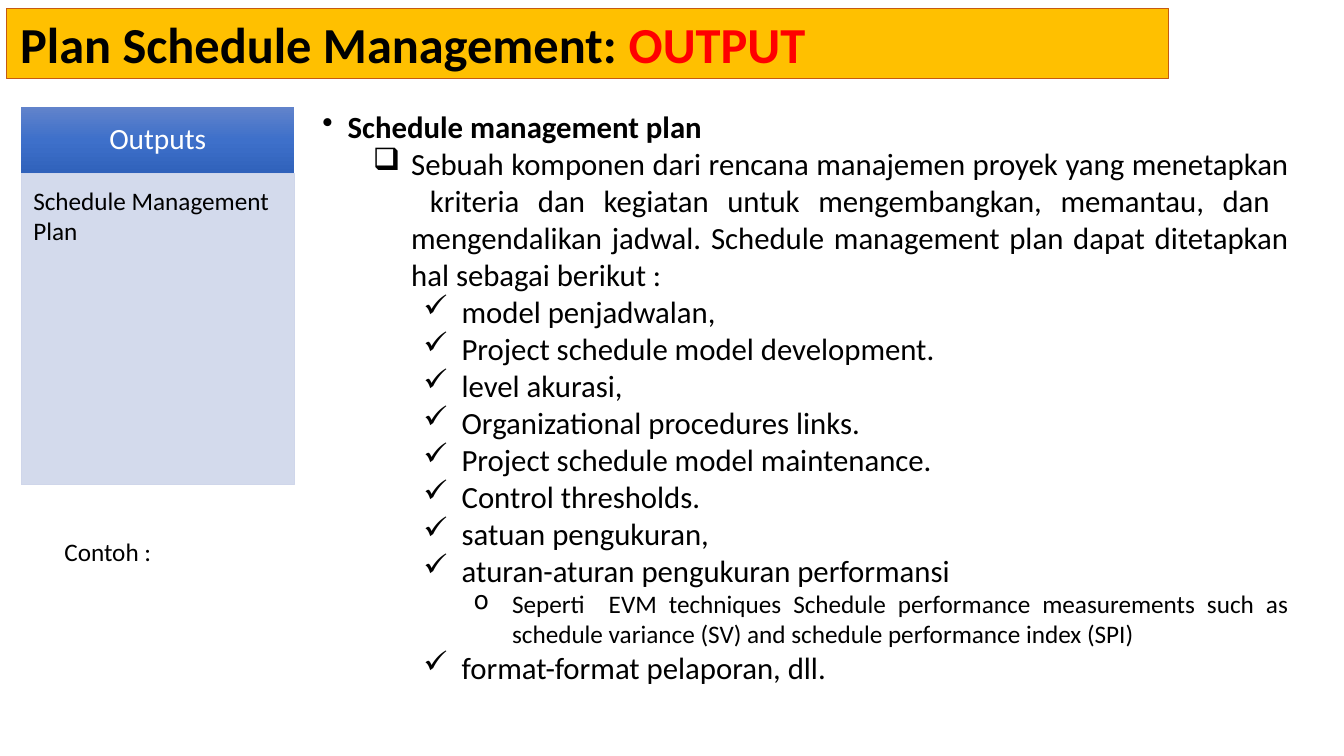
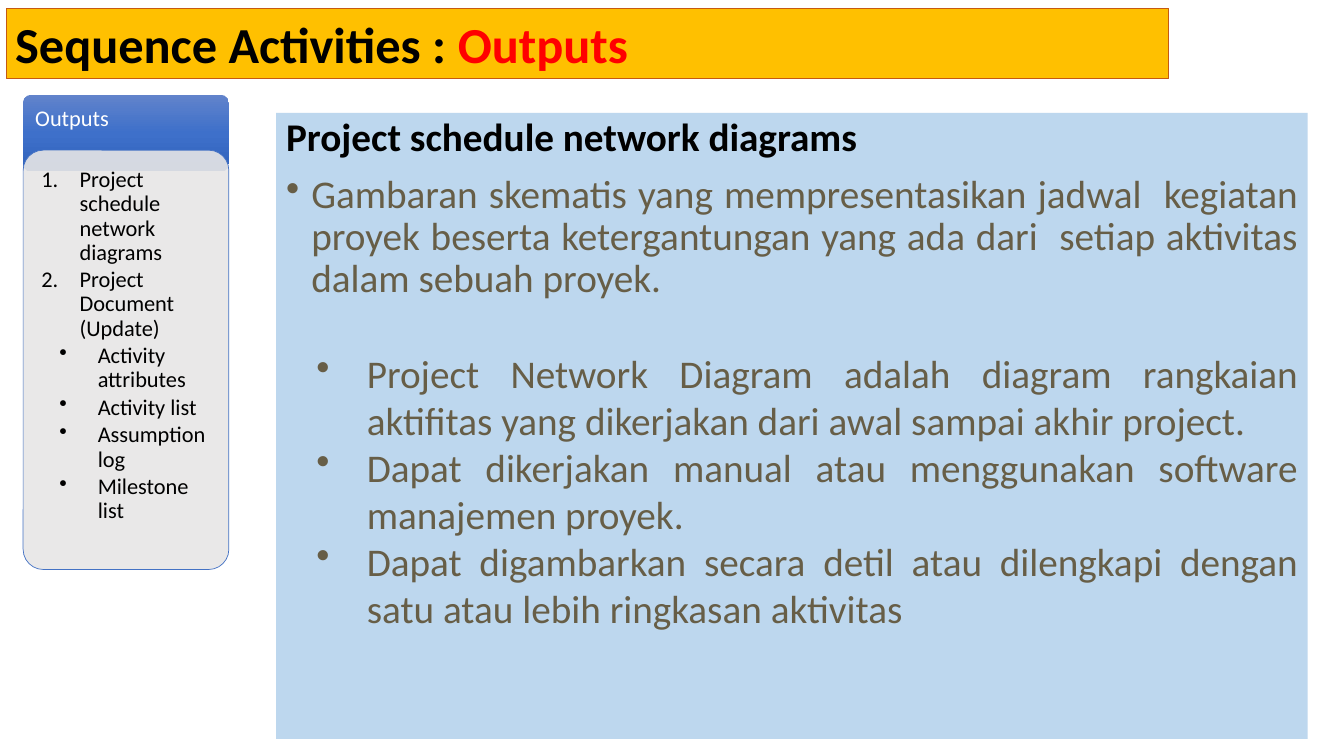
from dataclasses import dataclass
from typing import Optional, Sequence

from lxml.etree import SubElement
from pptx import Presentation
from pptx.dml.color import RGBColor
from pptx.enum.shapes import MSO_SHAPE
from pptx.enum.text import MSO_ANCHOR, MSO_AUTO_SIZE, PP_ALIGN
from pptx.oxml.ns import qn
from pptx.util import Inches, Pt

FONT = "Calibri"
COLORS = {
    "band": "FFC000", "band_line": "C55A11", "accent": "FF0000",
    "black": "000000", "white": "FFFFFF", "brown": "675E47",
    "pale_blue": "BDD7EE", "lavender": "CFD6EA", "grey": "E7E6E6", "blue": "4472C4",
}
HEADER_GRADIENT = ((0, "6183CB"), (50, "3E70CA"), (100, "3062BB"))
TITLE_BOX = (0.06, 0.08, 11.53, 0.7)
NUMBERED = "1."
DEFAULT_INSETS = (0.1, 0.05, 0.1, 0.05)


@dataclass(frozen=True)
class Style:
    size: float
    color: str = "black"
    bold: bool = False
    align: PP_ALIGN = PP_ALIGN.LEFT
    bullet: str = ""
    indent: float = 0
    hanging: float = 0
    line_spacing: float = 1
    before: float = 0
    after: float = 0


@dataclass(frozen=True)
class Item:
    text: str
    style: Style


@dataclass(frozen=True)
class Panel:
    box: tuple[float, float, float, float]
    items: Sequence[Item]
    insets: tuple[float, float, float, float] = DEFAULT_INSETS
    anchor: MSO_ANCHOR = MSO_ANCHOR.TOP
    fill: Optional[str] = None
    opacity: int = 100
    gradient: bool = False
    line: Optional[str] = None
    corner: float = 0


JUSTIFY = PP_ALIGN.JUSTIFY
TOPIC = Style(22, bold=True, align=JUSTIFY, bullet="•", indent=0.25, hanging=0.25,
              line_spacing=0.9)
DEFINITION = Style(22, align=JUSTIFY, bullet="❑", indent=0.88, hanging=0.38)
CHECK = Style(22, align=JUSTIFY, bullet="✓", indent=1.38, hanging=0.38)
EXAMPLE = Style(18, align=JUSTIFY, bullet="o", indent=1.88, hanging=0.38)
PLAIN = Style(18)
HEADING = Style(28, bold=True, line_spacing=0.9)
SUMMARY = Style(28, "brown", align=JUSTIFY, bullet="•", indent=0.25, hanging=0.25,
                line_spacing=0.9, before=10)
POINT = Style(28, "brown", align=JUSTIFY, bullet="•", indent=0.8, hanging=0.5)
FIRST_POINT = Style(28, "brown", align=JUSTIFY, bullet="•", indent=0.8, hanging=0.5,
                    before=34)
NUMBER = Style(16, bullet=NUMBERED, indent=0.38, hanging=0.38, line_spacing=0.9, after=2.4)
UPDATE = Style(16, bullet="•", indent=0.56, hanging=0.38, line_spacing=0.9, after=2.4)

SCHEDULE_PANELS = (
    Panel((0.21, 1.06, 2.71, 0.66),
          (Item("Outputs", Style(21, "white", align=PP_ALIGN.CENTER, line_spacing=0.9)),),
          insets=(0.16, 0.09, 0.16, 0.09), anchor=MSO_ANCHOR.MIDDLE, gradient=True),
    Panel((0.21, 1.72, 2.71, 3.09), (Item("Schedule Management Plan", PLAIN),),
          insets=(0.12, 0.12, 0.16, 0.18), fill="lavender", opacity=90, line="lavender"),
    Panel((3.1, 1.06, 9.78, 6.21), (
        Item("Schedule management plan", TOPIC),
        Item("Sebuah komponen dari rencana manajemen proyek yang menetapkan  kriteria dan "
             "kegiatan untuk mengembangkan, memantau, dan  mengendalikan jadwal. Schedule "
             "management plan dapat ditetapkan hal sebagai berikut :", DEFINITION),
        Item("model penjadwalan,", CHECK),
        Item("Project schedule model development.", CHECK),
        Item("level akurasi,", CHECK),
        Item("Organizational procedures links.", CHECK),
        Item("Project schedule model maintenance.", CHECK),
        Item("Control thresholds.", CHECK),
        Item("satuan pengukuran,", CHECK),
        Item("aturan-aturan pengukuran performansi", CHECK),
        Item("Seperti  EVM techniques Schedule performance measurements such as schedule "
             "variance (SV) and schedule performance index (SPI)", EXAMPLE),
        Item("format-format pelaporan, dll.", CHECK),
    )),
    Panel((0.54, 5.27, 1.77, 0.4), (Item("Contoh :", PLAIN),)),
)
SEQUENCE_PANELS = (
    Panel((2.74, 1.12, 10.23, 6.21), (
        Item("Project schedule network diagrams", HEADING),
        Item("Gambaran skematis yang mempresentasikan jadwal  kegiatan proyek beserta "
             "ketergantungan yang ada dari  setiap aktivitas dalam sebuah proyek.", SUMMARY),
        Item("Project Network Diagram adalah diagram rangkaian aktifitas yang dikerjakan "
             "dari awal sampai akhir project.", FIRST_POINT),
        Item("Dapat dikerjakan manual atau menggunakan software manajemen proyek.", POINT),
        Item("Dapat digambarkan secara detil atau dilengkapi dengan satu atau lebih "
             "ringkasan aktivitas", POINT),
    ), fill="pale_blue"),
    Panel((0.23, 0.94, 2.04, 0.76), (Item("Outputs", Style(16, "white", line_spacing=0.9)),),
          insets=(0.12, 0.12, 0.12, 0.32), gradient=True, corner=0.08),
    Panel((0.23, 1.49, 2.04, 4.16), (
        Item("Project schedule network diagrams", NUMBER),
        Item("Project Document (Update)", NUMBER),
        Item("Activity attributes", UPDATE),
        Item("Activity list", UPDATE),
        Item("Assumption log", UPDATE),
        Item("Milestone list", UPDATE),
    ), insets=(0.18,) * 4, fill="grey", opacity=90, line="blue", corner=0.2),
)


def rgb(name: str) -> RGBColor:
    return RGBColor.from_string(COLORS[name])


def add_text(paragraph, text: str, *, size: float, color: str = "black",
             bold: bool = False) -> None:
    run = paragraph.add_run()
    run.text = text
    run.font.name = FONT
    run.font.size = Pt(size)
    run.font.bold = bold
    run.font.color.rgb = rgb(color)


def set_bullet(paragraph, style: Style) -> None:
    properties = paragraph._p.get_or_add_pPr()
    properties.set("marL", str(Inches(style.indent)))
    properties.set("indent", str(-Inches(style.hanging)))
    if style.bullet == NUMBERED:
        SubElement(properties, qn("a:buAutoNum"), type="arabicPeriod")
    elif style.bullet:
        SubElement(properties, qn("a:buChar"), char=style.bullet)
    else:
        SubElement(properties, qn("a:buNone"))


def set_insets(frame, insets: Sequence[float]) -> None:
    frame.margin_left, frame.margin_top, frame.margin_right, frame.margin_bottom = (
        Inches(inset) for inset in insets)


def write_items(frame, items: Sequence[Item]) -> None:
    for index, item in enumerate(items):
        paragraph = frame.add_paragraph() if index else frame.paragraphs[0]
        style = item.style
        set_bullet(paragraph, style)
        paragraph.alignment = style.align
        paragraph.line_spacing = style.line_spacing
        paragraph.space_before = Pt(style.before)
        paragraph.space_after = Pt(style.after)
        add_text(paragraph, item.text, size=style.size, color=style.color, bold=style.bold)


def fill_gradient(shape) -> None:
    """Fill from top to bottom with the header's three stops."""
    shape.fill.gradient()
    shape.fill.gradient_angle = 270
    stops = shape._element.spPr.find(qn("a:gradFill")).find(qn("a:gsLst"))
    for stop in list(stops):
        stops.remove(stop)
    for percent, color in HEADER_GRADIENT:
        stop = SubElement(stops, qn("a:gs"), pos=str(percent * 1000))
        SubElement(stop, qn("a:srgbClr"), val=color)


def paint(shape, panel: Panel) -> None:
    shape.shadow.inherit = False
    if panel.gradient:
        fill_gradient(shape)
    else:
        shape.fill.solid()
        shape.fill.fore_color.rgb = rgb(panel.fill)
        if panel.opacity < 100:
            color = shape._element.spPr.find(qn("a:solidFill")).find(qn("a:srgbClr"))
            SubElement(color, qn("a:alpha"), val=str(panel.opacity * 1000))
    if panel.line:
        shape.line.color.rgb = rgb(panel.line)
        shape.line.width = Pt(0.5)
    else:
        shape.line.fill.background()


def draw_panel(slide, panel: Panel) -> None:
    box = [Inches(length) for length in panel.box]
    if panel.fill or panel.gradient:
        preset = MSO_SHAPE.ROUNDED_RECTANGLE if panel.corner else MSO_SHAPE.RECTANGLE
        shape = slide.shapes.add_shape(preset, *box)
        if panel.corner:
            shape.adjustments[0] = panel.corner / min(panel.box[2:])
        paint(shape, panel)
    else:
        shape = slide.shapes.add_textbox(*box)
    frame = shape.text_frame
    frame.word_wrap = True
    frame.vertical_anchor = panel.anchor
    # A rounded rectangle already insets its text by 0.29 of the corner radius.
    set_insets(frame, [inset - 0.29 * panel.corner for inset in panel.insets])
    write_items(frame, panel.items)


def draw_title(slide, topic: str, stage: str, left_inset: float) -> None:
    title = slide.shapes.title
    title.left, title.top, title.width, title.height = (
        Inches(length) for length in TITLE_BOX)
    title.fill.solid()
    title.fill.fore_color.rgb = rgb("band")
    title.line.color.rgb = rgb("band_line")
    title.line.width = Pt(0.75)
    frame = title.text_frame
    frame.auto_size = MSO_AUTO_SIZE.NONE
    frame.vertical_anchor = MSO_ANCHOR.TOP
    set_insets(frame, (left_inset, 0.05, 0.09, 0.05))
    paragraph = frame.paragraphs[0]
    paragraph.alignment = PP_ALIGN.LEFT
    add_text(paragraph, topic + " ", size=36, bold=True)
    add_text(paragraph, stage, size=36, color="accent", bold=True)


def add_slide(presentation, topic: str, stage: str, panels: Sequence[Panel],
              title_inset: float = 0.09) -> None:
    slide = presentation.slides.add_slide(presentation.slide_layouts[5])
    draw_title(slide, topic, stage, title_inset)
    for panel in panels:
        draw_panel(slide, panel)


def main() -> None:
    presentation = Presentation()
    presentation.slide_width = Inches(13.33)
    presentation.slide_height = Inches(7.5)
    add_slide(presentation, "Plan Schedule Management:", "OUTPUT", SCHEDULE_PANELS,
              title_inset=0.14)
    add_slide(presentation, "Sequence Activities :", "Outputs", SEQUENCE_PANELS)
    presentation.save("out.pptx")


if __name__ == "__main__":
    main()
